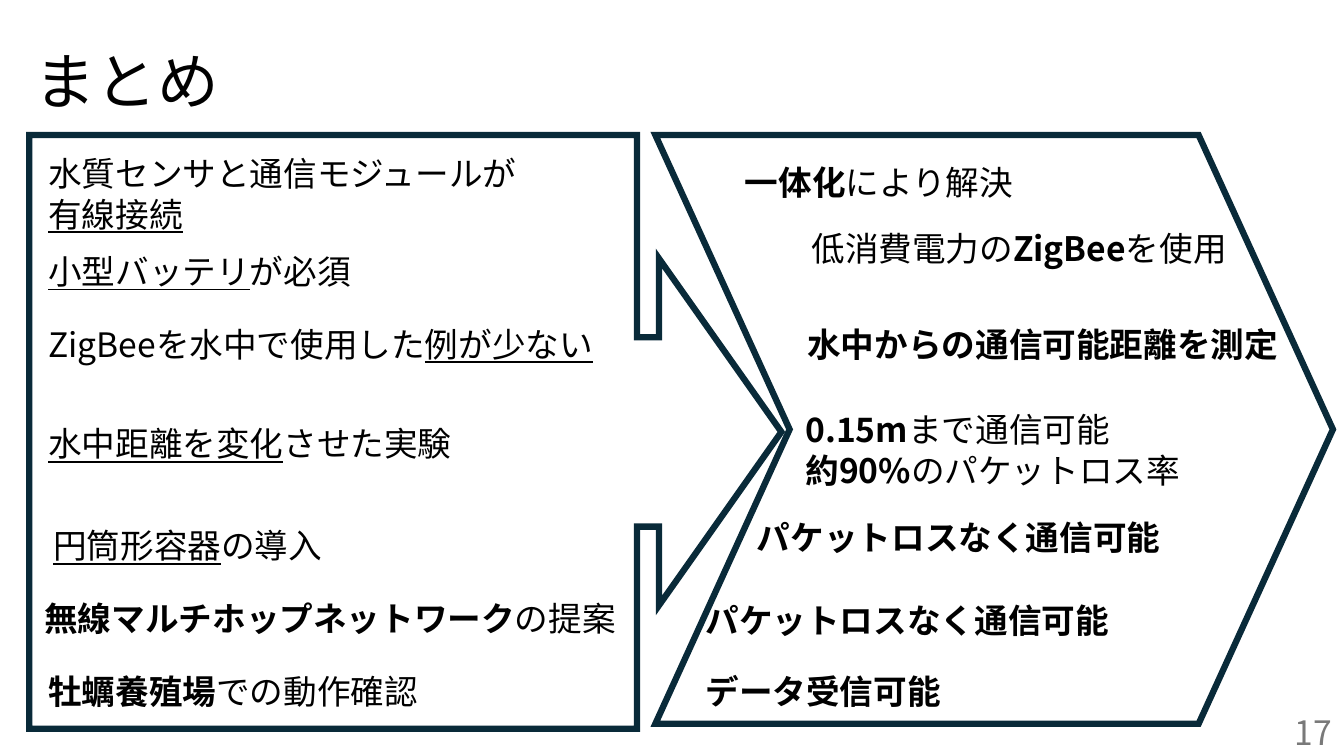
import pptx
import pptx.util
import pptx.dml.color
import pptx.enum.shapes
import pptx.enum.text
import pptx.oxml

Inches, Pt = pptx.util.Inches, pptx.util.Pt
SHAPE = pptx.enum.shapes.MSO_SHAPE
ANCHOR = pptx.enum.text.MSO_ANCHOR
ALIGN = pptx.enum.text.PP_ALIGN

FONT = "Noto Sans CJK JP"
NS = 'xmlns:a="http://schemas.openxmlformats.org/drawingml/2006/main"'
BLACK, GREY, NAVY = "000000", "797979", "092A39"
PLAIN, BOLD, UNDER = {}, {"bold": True}, {"underline": True}

# Each text: (left, top, width, height), then paragraphs of (text, style) runs
ISSUES = [
    ((0.38, 1.47, 5.11, 0.91), [[("水質センサと通信モジュールが", PLAIN), ("有線接続", UNDER)]]),
    ((0.38, 2.44, 4.36, 0.5), [[("小型バッテリ", UNDER), ("が必須", PLAIN)]]),
    ((0.38, 3.16, 5.98, 0.5), [[("ZigBeeを水中で使用した", PLAIN), ("例が少ない", UNDER)]]),
    ((0.38, 4.15, 6.74, 0.5), [[("水中距離を変化", UNDER), ("させた実験", PLAIN)]]),
    ((0.43, 5.16, 6.74, 0.5), [[("円筒形容器", UNDER), ("の導入", PLAIN)]]),
]
PROPOSAL = ((0.34, 5.93, 5.92, 0.47), [[("無線マルチホップネットワーク", BOLD), ("の提案", PLAIN)]])
FIELD_TEST = ((0.38, 6.65, 5.92, 0.47), [[("牡蠣養殖場", BOLD), ("での動作確認", PLAIN)]])
RESULTS = [
    ((7.29, 1.56, 5.11, 0.5), [[("一体化", BOLD), ("により解決", PLAIN)]]),
    ((7.95, 2.21, 4.47, 0.5), [[("低消費電力の", PLAIN), ("ZigBee", BOLD), ("を使用", PLAIN)]]),
    ((7.91, 3.16, 5.16, 0.5), [[("水中からの通信可能距離を測定", BOLD)]]),
    ((7.89, 4.01, 5.06, 0.91), [[("0.15m", BOLD), ("まで通信可能", PLAIN)],
                                [("約90%", BOLD), ("のパケットロス率", PLAIN)]]),
    ((7.41, 5.08, 5.06, 0.5), [[("パケットロスなく通信可能", BOLD)]]),
    ((6.9, 5.9, 5.44, 0.5), [[("パケットロスなく通信可能", BOLD)]]),
    ((6.9, 6.61, 5.44, 0.5), [[("データ受信可能", BOLD)]]),
]


def rgb(color):
    return pptx.dml.color.RGBColor.from_string(color)


def set_attrs(obj, values):
    for name, value in values.items():
        setattr(obj, name, value)


def place(sp, box):
    set_attrs(sp, dict(zip(("left", "top", "width", "height"), map(Inches, box))))


def write(sp, paragraphs, size=24, color=BLACK, anchor=ANCHOR.TOP, **para):
    tf = sp.text_frame
    set_attrs(tf, {"word_wrap": True, "vertical_anchor": anchor,
                   "auto_size": pptx.enum.text.MSO_AUTO_SIZE.NONE})
    for i, runs in enumerate(paragraphs):
        p = tf.paragraphs[0] if i == 0 else tf.add_paragraph()
        set_attrs(p, {"alignment": ALIGN.LEFT, "space_before": Pt(0), **para})
        for text, style in runs:
            r = p.add_run()
            r.text = text
            set_attrs(r.font, {"name": FONT, "size": Pt(size), "bold": False, **style})
            r.font.color.rgb = rgb(color)
            latin = r.font._element.find(pptx.oxml.ns.qn("a:latin"))
            latin.addnext(pptx.oxml.parse_xml(f'<a:ea {NS} typeface="{FONT}"/>'))


def add_text(s, box, paragraphs, **fmt):
    write(s.shapes.add_textbox(*map(Inches, box)), paragraphs, **fmt)


def add_outline(s, kind, box, adjustments):
    sp = s.shapes.add_shape(kind, *map(Inches, box))
    for i, value in enumerate(adjustments):
        sp.adjustments[i] = value
    sp.shadow.inherit = False
    sp.fill.background()
    sp.line.color.rgb = rgb(NAVY)
    sp.line.width = Pt(4.5)
    sp.line._get_or_add_ln().append(pptx.oxml.parse_xml(f'<a:miter {NS} lim="800000"/>'))


def add_title(s, box):
    place(s.shapes.title, box)
    write(s.shapes.title, [[("まとめ", PLAIN)]], size=44, anchor=ANCHOR.MIDDLE, line_spacing=0.9)


def add_issues(s, box):
    add_outline(s, SHAPE.RIGHT_ARROW_CALLOUT, box, (0.319, 0.292, 0.206, 0.808))
    for text_box, paragraphs in ISSUES:
        add_text(s, text_box, paragraphs)
    # The proposal is the slide's body text, without a bullet
    body = s.placeholders[1]
    text_box, paragraphs = PROPOSAL
    place(body, text_box)
    pPr = body.text_frame.paragraphs[0]._p.get_or_add_pPr()
    pPr.set("marL", "0")
    pPr.set("indent", "0")
    pPr.append(pptx.oxml.parse_xml(f"<a:buNone {NS}/>"))
    write(body, paragraphs, line_spacing=0.9)
    add_text(s, *FIELD_TEST, line_spacing=0.9)


def add_results(s, box):
    add_outline(s, SHAPE.CHEVRON, box, (0.228,))
    for text_box, paragraphs in RESULTS:
        add_text(s, text_box, paragraphs)


def main():
    prs = pptx.Presentation()
    prs.slide_width, prs.slide_height = Inches(13.33), Inches(7.5)
    s = prs.slides.add_slide(prs.slide_layouts[1])
    add_title(s, (0.24, 0.11, 11.5, 1.45))
    add_issues(s, (0.29, 1.34, 7.46, 5.89))
    add_results(s, (6.5, 1.34, 6.72, 5.84))
    # Page number
    add_text(s, (10.31, 7.06, 3, 0.4), [[("17", PLAIN)]], color=GREY,
             anchor=ANCHOR.MIDDLE, alignment=ALIGN.RIGHT)
    prs.save("out.pptx")


if __name__ == "__main__":
    main()
